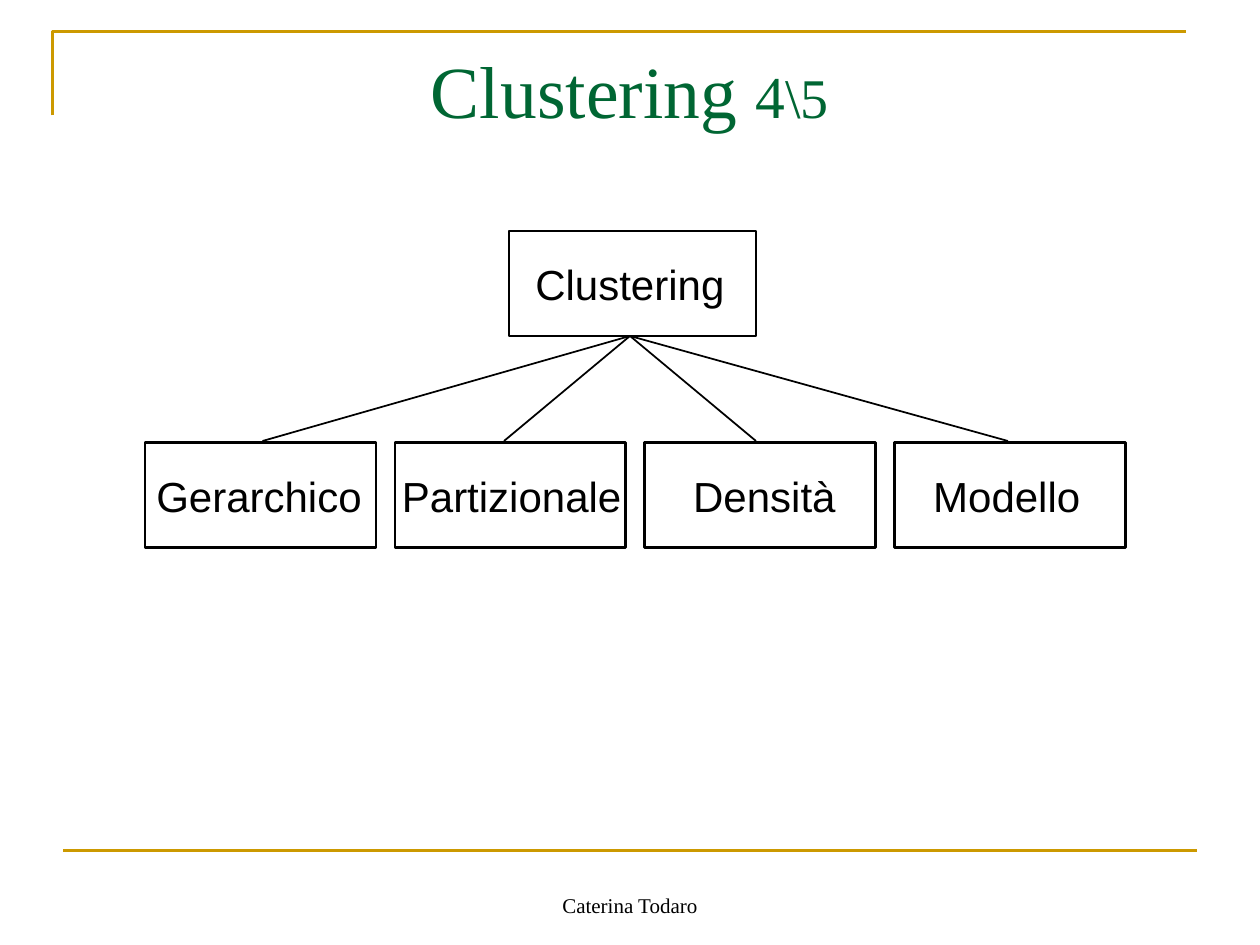
import pptx
import pptx.dml.color
import pptx.enum.shapes
import pptx.enum.text
import pptx.oxml.ns
import pptx.util
import lxml.etree

Pt = pptx.util.Pt
ANCHOR = pptx.enum.text.MSO_ANCHOR
GOLD = pptx.dml.color.RGBColor(0xCC, 0x99, 0x00)
GREEN = pptx.dml.color.RGBColor(0x00, 0x66, 0x33)
BLACK = pptx.dml.color.RGBColor(0x00, 0x00, 0x00)
SERIF = "Times New Roman"
SANS = "Arial"


def add_span(para, text, *, size, font=SANS, color=BLACK):
    span = para.add_run()
    span.text = text
    span.font.size = Pt(size)
    span.font.name = font
    span.font.color.rgb = color


class SlideBuilder:
    def __init__(self, page, frame_color=GOLD, ink=BLACK):
        self.page = page
        self.frame_color = frame_color
        self.ink = ink

    def text(self, left, top, width, height, spans, wrap=True, anchor=ANCHOR.TOP, **style):
        box = self.page.shapes.add_textbox(Pt(left), Pt(top), Pt(width), Pt(height))
        frame = box.text_frame
        frame.word_wrap = wrap
        frame.vertical_anchor = anchor
        para = frame.paragraphs[0]
        para.alignment = pptx.enum.text.PP_ALIGN.CENTER
        for words, size in spans:
            add_span(para, words, size=size, **style)

    def outline(self, shape, color):
        shape.shadow.inherit = False
        shape.fill.background()
        shape.line.color.rgb = color
        shape.line.width = Pt(1.5)

    def rectangle(self, left, top, width, height):
        shape = self.page.shapes.add_shape(
            pptx.enum.shapes.MSO_SHAPE.RECTANGLE, Pt(left), Pt(top), Pt(width), Pt(height))
        self.outline(shape, self.ink)

    def corner(self, *points):
        first, *others = [(Pt(x), Pt(y)) for x, y in points]
        builder = self.page.shapes.build_freeform(*first)
        builder.add_line_segments(others, close=False)
        self.outline(builder.convert_to_shape(), self.frame_color)

    def line(self, start, end, color, width):
        connector = self.page.shapes.add_connector(
            pptx.enum.shapes.MSO_CONNECTOR.STRAIGHT, *map(Pt, start + end))
        connector.line.color.rgb = color
        connector.line.width = Pt(width)
        properties = connector._element.spPr
        lxml.etree.SubElement(properties, pptx.oxml.ns.qn("a:effectLst"))


def main():
    deck = pptx.Presentation()
    deck.slide_width, deck.slide_height = Pt(720), Pt(540)
    slide = SlideBuilder(deck.slides.add_slide(deck.slide_layouts[6]))

    slide.corner((30, 66), (30, 18), (678, 18))
    slide.line((36, 486), (684, 486), GOLD, 1.5)
    slide.text(36, 22, 648, 90, [("Clustering ", 42), ("4", 34), ("\\5", 32)],
               font=SERIF, color=GREEN)

    slide.rectangle(290.9, 132, 141.1, 60)
    slide.text(289.4, 144, 141.1, 36, [("Clustering", 24)])

    branches = [
        ("Gerarchico", 80, 136, 150),
        ("Partizionale", 220.4, 144, 288),
        ("Densità", 386.8, 100, 432),
        ("Modello", 521.3, 108, 576),
    ]
    for index, (name, left, width, line_end) in enumerate(branches):
        slide.rectangle(82.8 + 142.8 * index, 252.7, 132, 60)
        slide.text(left, 265.2, width, 36, [(name, 24)], wrap=False)
        slide.line((line_end, 252), (360, 192), BLACK, 1)

    slide.text(246, 492, 228, 36, [("Caterina Todaro", 12)], anchor=ANCHOR.BOTTOM, font=SERIF)
    deck.save("out.pptx")


if __name__ == "__main__":
    main()
